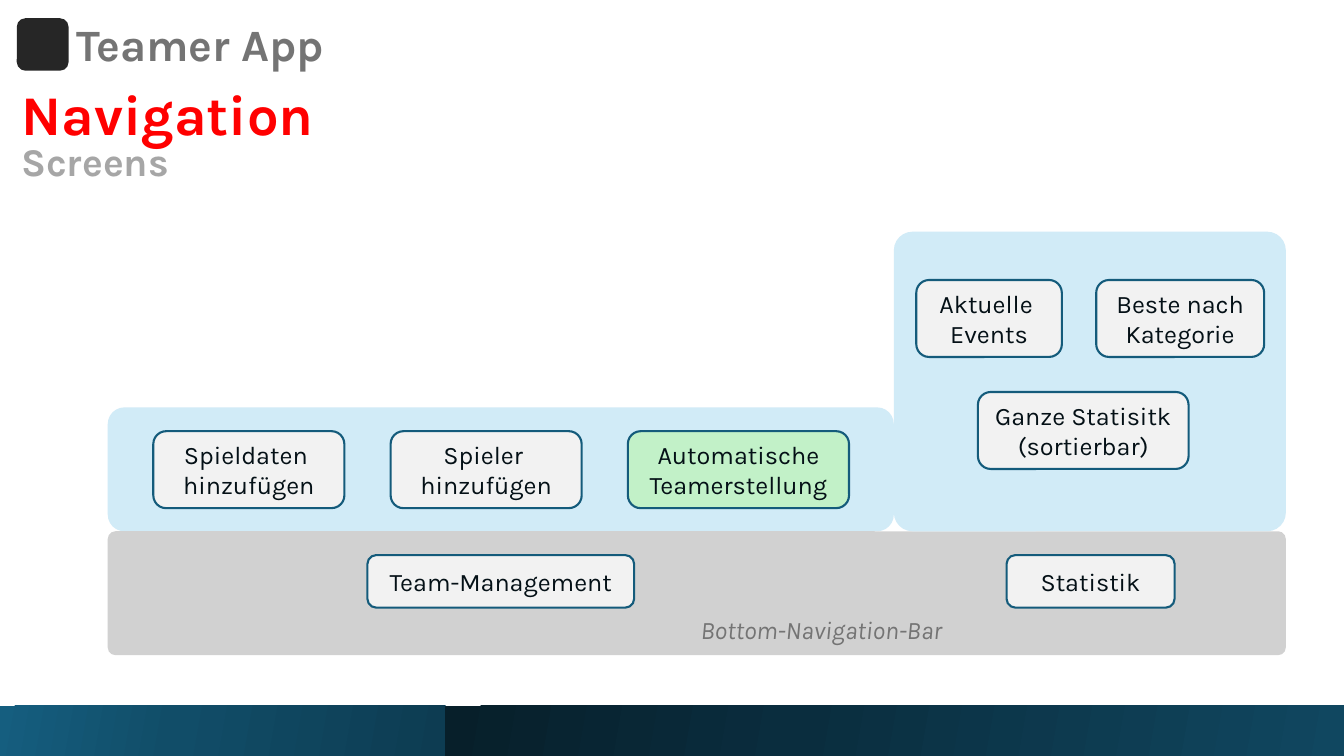
"""Build the navigation slide of the Teamer App, with its screens above the bottom bar."""
from copy import deepcopy

from pptx import Presentation
from pptx.dml.color import RGBColor
from pptx.enum.shapes import MSO_SHAPE
from pptx.enum.text import MSO_ANCHOR, MSO_AUTO_SIZE, PP_ALIGN
from pptx.oxml.ns import qn
from pptx.util import Pt

THEME = {
    "font": "Karla",
    "title": 40, "brand": 32, "subtitle": 28, "body": 18,
    "red": "FF0000", "silver": "A6A6A6", "gray": "747474", "ink": "041016",
    "panel": "D1EBF7", "bar": "D1D1D1", "card": "F2F2F2", "highlight": "C2F1C8",
    "outline": "145B7B", "logo": "262626",
    "footer_left": ("155E7F", "114D68", "0D3C52"),
    "footer_right": ("071F2A", "0A2D3E", "104760"),
}


def add_box(box, fill=None, outline=None, corner=0.1667, kind=MSO_SHAPE.ROUNDED_RECTANGLE):
    """Add a flat shape at box (left, top, width, height)."""
    shape = slide.shapes.add_shape(kind, *map(Pt, box))
    shape.shadow.inherit = False
    if kind == MSO_SHAPE.ROUNDED_RECTANGLE:
        shape.adjustments[0] = corner
    if fill:
        shape.fill.solid()
        shape.fill.fore_color.rgb = RGBColor.from_string(THEME[fill])
    if outline:
        shape.line.color.rgb = RGBColor.from_string(THEME[outline])
        shape.line.width = Pt(1.5)
    else:
        shape.line.fill.background()
    return shape


def write(shape, lines, anchor=MSO_ANCHOR.MIDDLE, alignment=PP_ALIGN.CENTER, spacing=1.0):
    """Write lines of (text, size, color, font values) into a shape."""
    frame = shape.text_frame
    frame.word_wrap = True
    frame.auto_size = MSO_AUTO_SIZE.NONE
    frame.vertical_anchor = anchor
    for index, (text, size, color, values) in enumerate(lines):
        paragraph = frame.add_paragraph() if index else frame.paragraphs[0]
        paragraph.text = text
        paragraph.alignment = alignment
        paragraph.line_spacing = spacing
        paragraph.space_before = Pt(0)
        for run in paragraph.runs:
            run.font.color.rgb = RGBColor.from_string(THEME[color])
            for name, value in {"name": THEME["font"], "size": Pt(THEME[size]), **values}.items():
                setattr(run.font, name, value)


presentation = Presentation()
presentation.slide_width, presentation.slide_height = Pt(960), Pt(540)
slide = presentation.slides.add_slide(presentation.slide_layouts[5])

bar_left, bar_top, bar_width, bar_height = 77, 379.5, 841.5, 88.5
team_width, statistics_height = 561.5, 214
statistics_left = bar_left + team_width
panels = [
    ((bar_left, bar_top - bar_height, team_width, bar_height), "panel", 0.134),
    ((bar_left, bar_top, bar_width, bar_height), "bar", 0.062),
    ((statistics_left, bar_top - statistics_height, bar_width - team_width, statistics_height),
     "panel", 0.062),
]
for box, fill, corner in panels:
    add_box(box, fill, corner=corner)

footer_split = 318
for left, width, name in [(0, footer_split, "footer_left"),
                          (footer_split, 960 - footer_split, "footer_right")]:
    band = add_box((left, 504, width, 36), kind=MSO_SHAPE.RECTANGLE)
    band.fill.gradient()
    band.fill.gradient_angle = 350
    stop_list = band.fill._xPr.find(".//" + qn("a:gsLst"))
    stop_list.append(deepcopy(stop_list[-1]))
    for stop, position, color in zip(band.fill.gradient_stops, (0, 0.39, 1), THEME[name]):
        stop.position = position
        stop.color.rgb = RGBColor.from_string(color)

add_box((12, 13, 37, 37.5), "logo")
brand = slide.shapes.add_textbox(Pt(47.5), Pt(10), Pt(191.5), Pt(47.5))
brand.text_frame.margin_left = brand.text_frame.margin_right = 0
write(brand, [("Teamer App", "brand", "gray", {"bold": True})], spacing=0.9)

title = slide.shapes.title
for name, value in {"left": 8, "top": 54.5, "width": 231, "height": 80.5}.items():
    setattr(title, name, Pt(value))
write(title, [("Navigation", "title", "red", {"bold": True}),
              ("Screens", "subtitle", "silver", {"bold": True})],
      MSO_ANCHOR.BOTTOM, PP_ALIGN.LEFT, 0.8)

card_height, tab_height, tab_top = 55, 37.5, 396.5
cards = [
    ("Statistik", (719, tab_top, 120, tab_height), "card"),
    ("Team-Management", (262.5, tab_top, 190.5, tab_height), "card"),
    ("Aktuelle \vEvents", (654.5, 200, 104, card_height), "card"),
    ("Beste nach Kategorie", (783, 200, 120, card_height), "card"),
    ("Ganze Statisitk (sortierbar)", (698.5, 280, 150.5, card_height), "card"),
]
card_left, card_gap = 109.5, 33
for text, width, fill in [("Spieldaten \vhinzufügen", 136.5, "card"),
                          ("Spieler \vhinzufügen", 136.5, "card"),
                          ("Automatische Teamerstellung", 158, "highlight")]:
    cards.append((text, (card_left, 308, width, card_height), fill))
    card_left += width + card_gap
for text, box, fill in cards:
    write(add_box(box, fill, "outline"), [(text, "body", "ink", {})])

bar_label = slide.shapes.add_textbox(Pt(487.5), Pt(430.5), Pt(198.5), Pt(tab_height))
write(bar_label, [("Bottom-Navigation-Bar", "body", "gray", {"italic": True})])

presentation.save("out.pptx")
